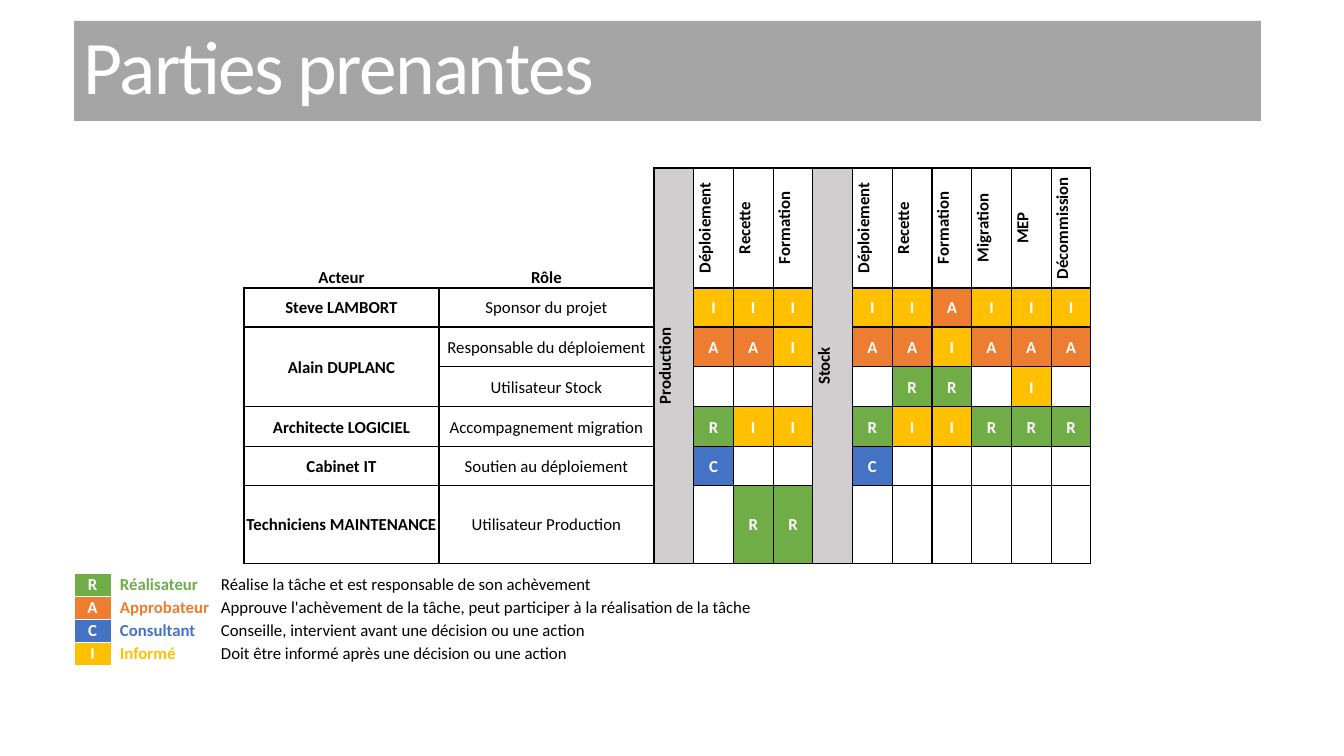
from lxml import etree
from pptx import Presentation
from pptx.dml.color import RGBColor
from pptx.enum.shapes import MSO_SHAPE
from pptx.enum.text import MSO_ANCHOR, PP_ALIGN
from pptx.oxml.ns import qn
from pptx.util import Pt

WHITE = RGBColor(0xFF, 0xFF, 0xFF)
BLACK = RGBColor(0x00, 0x00, 0x00)
GREY = RGBColor(0xA5, 0xA5, 0xA5)
LIGHT_GREY = RGBColor(0xD0, 0xCE, 0xCE)
GREEN = RGBColor(0x70, 0xAD, 0x47)
ORANGE = RGBColor(0xED, 0x7D, 0x31)
BLUE = RGBColor(0x44, 0x72, 0xC4)
YELLOW = RGBColor(0xFF, 0xC0, 0x00)
FONT = "Calibri"

TITLE = "Parties prenantes"
GROUPS = [
    ("Production", ["Déploiement", "Recette", "Formation"]),
    ("Stock", ["Déploiement", "Recette", "Formation", "Migration", "MEP", "Décommission"]),
]
# Actor, role, then one code per task of each group ("-" leaves the cell empty)
ACTORS = [
    ("Steve LAMBORT", "Sponsor du projet", "III", "IIAIII"),
    ("Alain DUPLANC", "Responsable du déploiement", "AAI", "AAIAAA"),
    ("", "Utilisateur Stock", "---", "-RR-I-"),
    ("Architecte LOGICIEL", "Accompagnement migration", "RII", "RIIRRR"),
    ("Cabinet IT", "Soutien au déploiement", "C--", "C-----"),
    ("Techniciens MAINTENANCE", "Utilisateur Production", "-RR", "------"),
]
LEGEND = {
    "R": ("Réalisateur", "Réalise la tâche et est responsable de son achèvement", GREEN),
    "A": ("Approbateur", "Approuve l'achèvement de la tâche, peut participer à la réalisation de la tâche",
          ORANGE),
    "C": ("Consultant", "Conseille, intervient avant une décision ou une action", BLUE),
    "I": ("Informé", "Doit être informé après une décision ou une action", YELLOW),
}
ROW_HEIGHTS = [120, 39, 40, 40, 40, 39, 78]
NAME_WIDTHS = [195, 215]
TASKS_WIDTH = 437
LEGEND_WIDTHS = [37, 109, 557]
LEGEND_ROW = 23


def px(n):
    return round(n * 914400 / 100.8)


def add_run(p, text, size, color, bold=False):
    r = p.add_run()
    r.text = text
    r.font.name, r.font.size, r.font.bold = FONT, Pt(size), bold
    r.font.color.rgb = color
    return r


def add_grid(s, left, top, widths, heights):
    """Add an unstyled table; widths are in EMU, the other lengths in px."""
    frame = s.shapes.add_table(len(heights), len(widths), px(left), px(top),
                               sum(widths), px(sum(heights)))
    table = frame.table
    table.first_row = table.horz_banding = False
    for column, width in zip(table.columns, widths):
        column.width = width
    for row, height in zip(table.rows, heights):
        row.height = px(height)
    return table


def set_borders(cell, sides, color, width):
    """Draw the borders named in sides (from "LRTB") and clear the others."""
    tcPr = cell._tc.get_or_add_tcPr()
    for side in "LRTB":
        ln = etree.SubElement(tcPr, qn(f"a:ln{side}"), w=str(Pt(width)))
        if side in sides:
            fill = etree.SubElement(ln, qn("a:solidFill"))
            etree.SubElement(fill, qn("a:srgbClr"), val=str(color))
        else:
            etree.SubElement(ln, qn("a:noFill"))


def fill_cell(cell, text, fill=WHITE, color=BLACK, bold=True, sides="LRTB", border=(BLACK, 1),
              align=PP_ALIGN.CENTER, anchor=MSO_ANCHOR.MIDDLE, left=1, vertical=False):
    set_borders(cell, sides, *border)
    if fill is None:
        cell.fill.background()
    else:
        cell.fill.solid()
        cell.fill.fore_color.rgb = fill
    cell.margin_left, cell.margin_right = px(left), px(1)
    cell.margin_top, cell.margin_bottom = px(1), 0
    cell.vertical_anchor = anchor
    if vertical:
        cell._tc.get_or_add_tcPr().set("vert", "vert270")
    p = cell.text_frame.paragraphs[0]
    p.alignment = align
    if text:
        add_run(p, text, 12, color, bold)


def add_title(s):
    sp = s.shapes.add_shape(MSO_SHAPE.RECTANGLE, px(74), px(21), px(1187), px(100))
    sp.shadow.inherit = False
    sp.fill.solid()
    sp.fill.fore_color.rgb = GREY
    sp.line.fill.background()
    tf = sp.text_frame
    tf.word_wrap = True
    tf.vertical_anchor = MSO_ANCHOR.MIDDLE
    p = tf.paragraphs[0]
    p.alignment = PP_ALIGN.LEFT
    p.line_spacing = 0.85
    r = add_run(p, TITLE, 54, WHITE)
    r.font._element.set("spc", "-120")


def add_matrix(s):
    task_columns = sum(1 + len(tasks) for _, tasks in GROUPS)
    widths = [px(w) for w in NAME_WIDTHS] + [px(TASKS_WIDTH) // task_columns] * task_columns
    table = add_grid(s, 244, 168, widths, ROW_HEIGHTS)
    last = len(ACTORS)

    fill_cell(table.cell(0, 0), "Acteur", sides="B", anchor=MSO_ANCHOR.BOTTOM)
    fill_cell(table.cell(0, 1), "Rôle", sides="RB", anchor=MSO_ANCHOR.BOTTOM)
    for i, (actor, role, *_) in enumerate(ACTORS, 1):
        fill_cell(table.cell(i, 0), actor)
        fill_cell(table.cell(i, 1), role, bold=False)
        if not actor:
            table.cell(i - 1, 0).merge(table.cell(i, 0))

    col = len(NAME_WIDTHS)
    for g, (group, tasks) in enumerate(GROUPS):
        for i in range(last + 1):
            fill_cell(table.cell(i, col), "" if i else group, LIGHT_GREY, vertical=True)
        table.cell(0, col).merge(table.cell(last, col))
        for t, task in enumerate(tasks):
            col += 1
            fill_cell(table.cell(0, col), task, vertical=True)
            for i, actor in enumerate(ACTORS, 1):
                code = actor[2 + g][t]
                if code in LEGEND:
                    fill_cell(table.cell(i, col), code, LEGEND[code][2], WHITE)
                else:
                    fill_cell(table.cell(i, col), "")
        col += 1


def add_legend(s):
    table = add_grid(s, 74, 573, [px(w) for w in LEGEND_WIDTHS], [LEGEND_ROW] * len(LEGEND))
    border = (WHITE, 0.5)
    for i, (code, (name, meaning, color)) in enumerate(LEGEND.items()):
        fill_cell(table.cell(i, 0), code, color, WHITE, border=border)
        fill_cell(table.cell(i, 1), name, None, color, sides="L", border=border,
                  align=PP_ALIGN.LEFT, left=9)
        fill_cell(table.cell(i, 2), meaning, None, bold=False, sides="", border=border,
                  align=PP_ALIGN.LEFT)


def main():
    prs = Presentation()
    prs.slide_width, prs.slide_height = px(1344), px(756)
    s = prs.slides.add_slide(prs.slide_layouts[6])
    add_title(s)
    add_matrix(s)
    add_legend(s)
    prs.save("out.pptx")


if __name__ == "__main__":
    main()
